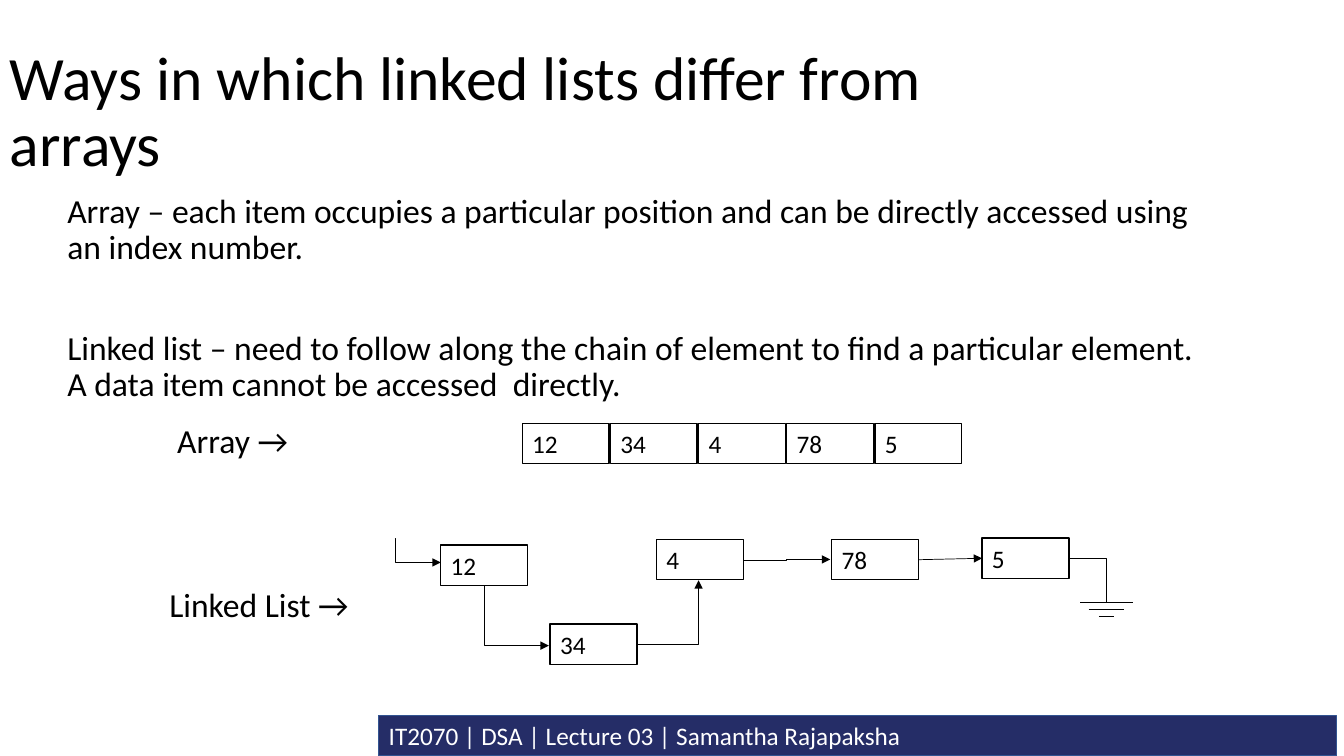
from lxml import etree
from pptx import Presentation
from pptx.dml.color import RGBColor
from pptx.enum.shapes import MSO_CONNECTOR, MSO_SHAPE
from pptx.enum.text import MSO_ANCHOR, PP_ALIGN
from pptx.oxml.ns import qn
from pptx.util import Pt

RECTANGLE = MSO_SHAPE.RECTANGLE
STRAIGHT = MSO_CONNECTOR.STRAIGHT
ELBOW = MSO_CONNECTOR.ELBOW
TOP = MSO_ANCHOR.TOP
MIDDLE = MSO_ANCHOR.MIDDLE
LEFT = PP_ALIGN.LEFT

FONT = "Calibri"
BLACK = "000000"
WHITE = "FFFFFF"
NAVY = "252D67"
BLUE = "325491"

VALUES = ["12", "34", "4", "78", "5"]
NODE_WIDTH = 62
NODE_HEIGHT = 28.8
NODE_POSITIONS = [(314.8, 389.4), (393, 445.7), (468.9, 385.4), (594, 385.4), (701.5, 384.4)]


def color(value):
    return RGBColor.from_string(value)


def write(frame, lines, size, font_color=BLACK, anchor=TOP, spacing=None, gap=0):
    frame.vertical_anchor = anchor
    for index, line in enumerate(lines):
        paragraph = frame.add_paragraph() if index else frame.paragraphs[0]
        paragraph.text = line
        paragraph.alignment = LEFT
        paragraph.line_spacing = spacing
        paragraph.space_before = Pt(gap if index else 0)
        paragraph.font.name = FONT
        paragraph.font.size = Pt(size)
        paragraph.font.color.rgb = color(font_color)


def add_text(slide, left, top, width, height, lines, size, wrap=True, **style):
    box = slide.shapes.add_textbox(Pt(left), Pt(top), Pt(width), Pt(height))
    box.text_frame.word_wrap = wrap
    write(box.text_frame, lines, size, **style)


def add_box(slide, left, top, text, width=NODE_WIDTH, fill=WHITE, line=BLACK, **style):
    shape = slide.shapes.add_shape(RECTANGLE, Pt(left), Pt(top), Pt(width), Pt(NODE_HEIGHT))
    shape.shadow.inherit = False
    shape.fill.solid()
    shape.fill.fore_color.rgb = color(fill)
    shape.line.color.rgb = color(line)
    shape.line.width = Pt(1)
    write(shape.text_frame, [text], 18, **style)
    return shape


def add_line(slide, start, end, kind=STRAIGHT, arrow=False):
    points = [Pt(value) for value in (*start, *end)]
    connector = slide.shapes.add_connector(kind, *points)
    connector.line.color.rgb = color(BLACK)
    connector.line.width = Pt(0.5)
    properties = connector._element.spPr
    if arrow:
        etree.SubElement(properties.find(qn("a:ln")), qn("a:tailEnd"), type="triangle")
    etree.SubElement(properties, qn("a:effectLst"))
    return connector


def add_elbow(slide, start, end, bend, arrow=True):
    connector = add_line(slide, start, end, ELBOW, arrow)
    geometry = connector._element.spPr.find(qn("a:prstGeom"))
    if bend == 1:
        geometry.set("prst", "bentConnector2")
    else:
        adjustments = geometry.find(qn("a:avLst"))
        formula = f"val {round(bend * 100000)}"
        etree.SubElement(adjustments, qn("a:gd"), name="adj1", fmla=formula)


def add_array(slide):
    for index, value in enumerate(VALUES):
        add_box(slide, 373 + 63 * index, 302.4, value)


def add_linked_list(slide):
    nodes = [add_box(slide, left, top, value)
             for (left, top), value in zip(NODE_POSITIONS, VALUES)]
    add_elbow(slide, (282, 384.5), (314.8, 401.8), 0.01)
    add_elbow(slide, (346, 418.2), (392, 461.2), 0)
    add_elbow(slide, (455, 460.1), (499, 414.5), 1)
    add_elbow(slide, (530.9, 400.3), (593, 399.6), 0.5)
    last_link = add_line(slide, (656, 399.8), (701.5, 398.8), arrow=True)
    last_link.begin_connect(nodes[3], 3)
    last_link.end_connect(nodes[4], 1)
    add_elbow(slide, (763.5, 398.8), (790, 430), 1, arrow=False)
    for left, right, y in [(771.5, 809, 430), (777.6, 803, 435.3), (785, 796, 440)]:
        add_line(slide, (left, y), (right, y))


def main():
    presentation = Presentation()
    presentation.slide_width = Pt(960)
    presentation.slide_height = Pt(540)
    slide = presentation.slides.add_slide(presentation.slide_layouts[6])

    add_box(slide, 270.6, 511.2, "IT2070 | DSA | Lecture 03 | Samantha Rajapaksha",
            width=684, fill=NAVY, line=BLUE, font_color=WHITE, anchor=MIDDLE)
    add_text(slide, 0, 28.8, 687, 104.4, ["Ways in which linked lists differ from arrays"],
             44, anchor=MIDDLE, spacing=0.9)
    add_array(slide)
    add_linked_list(slide)
    add_text(slide, 119.5, 296.6, 96.5, 36, ["Array →"], 24, wrap=False)
    add_text(slide, 113.8, 413.3, 145.4, 36, ["Linked List →"], 24, wrap=False)
    add_text(slide, 41, 135.4, 828, 125.3, [
        "Array – each item occupies a particular position and can be directly accessed "
        "using an index number.",
        "Linked list – need to follow along the chain of element to find a particular "
        "element. A data item cannot be accessed  directly.",
    ], 24, spacing=0.9, gap=46)

    presentation.save("out.pptx")


if __name__ == "__main__":
    main()
